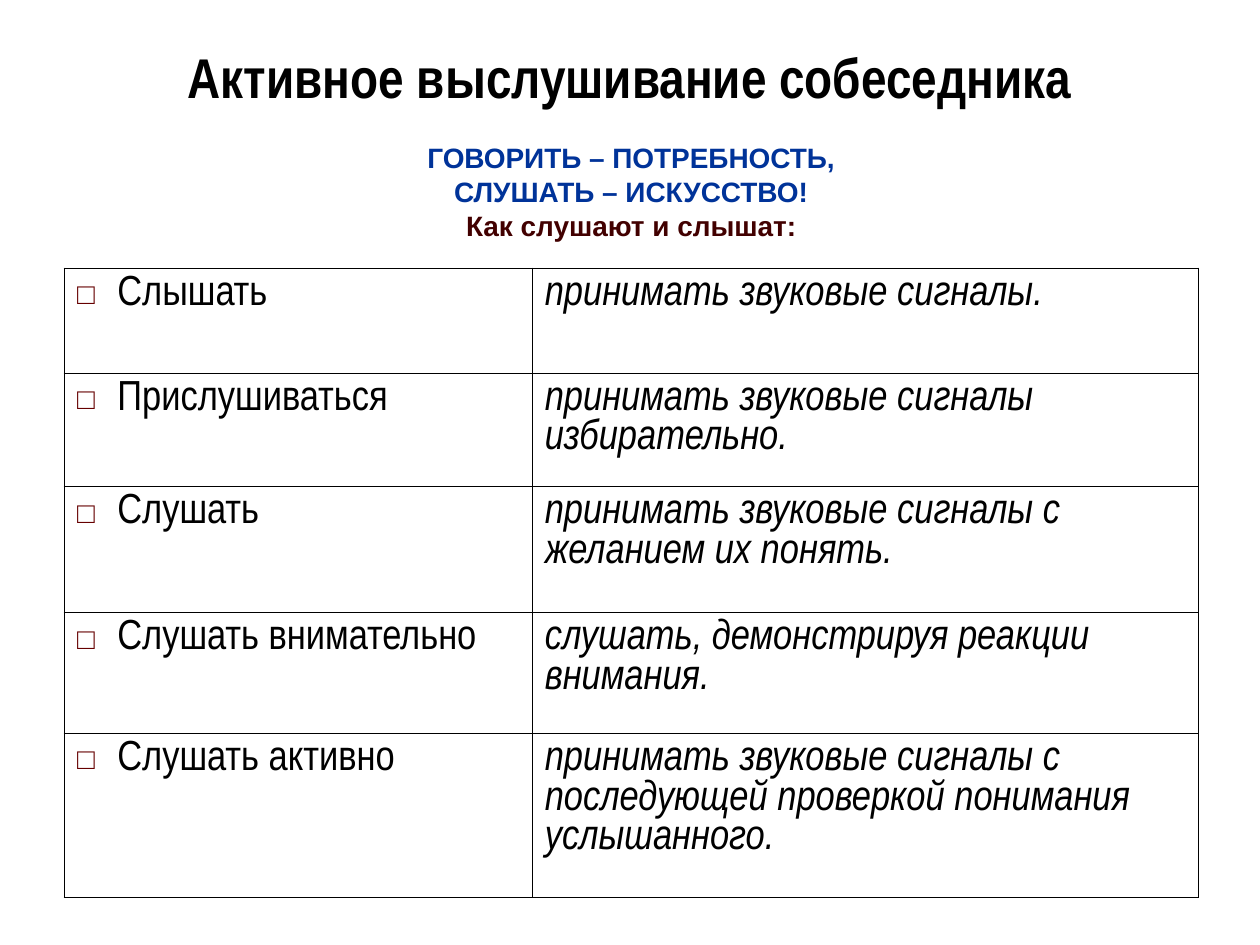
from lxml import etree
from pptx import Presentation
from pptx.dml.color import RGBColor
from pptx.enum import text
from pptx.oxml.ns import qn
from pptx.util import Pt

COLORS = {"black": "000000", "blue": "003399", "brown": "420000", "bullet": "660000"}
COL_WIDTHS = [267.2, 380.8]
ROW_HEIGHTS = [59.8, 65, 72, 69, 93.5]
INNER_LINE, OUTER_LINE = 0.45, 1.08
ROWS = [
    ("Слышать", "принимать звуковые сигналы."),
    ("Прислушиваться", "принимать звуковые сигналы избирательно."),
    ("Слушать", "принимать звуковые сигналы с желанием их понять."),
    ("Слушать внимательно", "слушать, демонстрируя реакции внимания."),
    ("Слушать активно", "принимать звуковые сигналы с последующей проверкой понимания услышанного."),
]


def write(p, content, size=24, font="Arial Narrow", color="black", bold=False,
          italic=False, align=text.PP_ALIGN.LEFT, bullet=False):
    p.text = content
    p.alignment = align
    p.line_spacing = 1.0
    if bullet:
        add_bullet(p)
    for r in p.runs:
        r.font.size = Pt(size)
        r.font.name = font
        r.font.bold = bold
        r.font.italic = italic
        r.font.color.rgb = RGBColor.from_string(COLORS[color])


def add_bullet(p):
    pPr = p._p.get_or_add_pPr()
    pPr.set("marL", str(Pt(23)))
    pPr.set("indent", str(-Pt(23)))
    clr = etree.SubElement(pPr, qn("a:buClr"))
    etree.SubElement(clr, qn("a:srgbClr"), val=COLORS["bullet"])
    etree.SubElement(pPr, qn("a:buSzPct"), val="70000")
    etree.SubElement(pPr, qn("a:buFont"), typeface="Arial")
    etree.SubElement(pPr, qn("a:buChar"), char="□")


def add_box(s, left, top, width, height, anchor=text.MSO_ANCHOR.TOP):
    tf = s.shapes.add_textbox(Pt(left), Pt(top), Pt(width), Pt(height)).text_frame
    tf.word_wrap = True
    tf.vertical_anchor = anchor
    return tf


def set_borders(cell, widths):
    tcPr = cell._tc.get_or_add_tcPr()
    for i, (side, width) in enumerate(widths.items()):
        ln = etree.Element(qn(f"a:ln{side}"), w=str(Pt(width)))
        fill = etree.SubElement(ln, qn("a:solidFill"))
        etree.SubElement(fill, qn("a:srgbClr"), val=COLORS["black"])
        tcPr.insert(i, ln)


def add_listening_table(s):
    n_rows, n_cols = len(ROWS), len(COL_WIDTHS)
    table = s.shapes.add_table(n_rows, n_cols, Pt(36.9), Pt(153.4),
                               Pt(sum(COL_WIDTHS)), Pt(sum(ROW_HEIGHTS))).table
    table.first_row = table.horz_banding = False
    for column, width in zip(table.columns, COL_WIDTHS):
        column.width = Pt(width)
    for i, (row, height) in enumerate(zip(table.rows, ROW_HEIGHTS)):
        row.height = Pt(height)
        for j, cell in enumerate(row.cells):
            cell.fill.background()
            write(cell.text_frame.paragraphs[0], ROWS[i][j],
                  bullet=j == 0, italic=j == 1)
            outer = {"L": j == 0, "R": j == n_cols - 1, "T": i == 0, "B": i == n_rows - 1}
            set_borders(cell, {side: OUTER_LINE if edge else INNER_LINE
                               for side, edge in outer.items()})


def main():
    prs = Presentation()
    prs.slide_width, prs.slide_height = Pt(720), Pt(540)
    s = prs.slides.add_slide(prs.slide_layouts[6])

    title = add_box(s, 36, 20.2, 648, 46.8, text.MSO_ANCHOR.MIDDLE)
    write(title.paragraphs[0], "Активное выслушивание собеседника", size=32,
          bold=True, align=text.PP_ALIGN.CENTER)

    motto = add_box(s, 37.4, 77, 646.6, 64.8)
    style = dict(size=16, font="Arial", bold=True, align=text.PP_ALIGN.CENTER)
    write(motto.paragraphs[0], "ГОВОРИТЬ – ПОТРЕБНОСТЬ,\vСЛУШАТЬ – ИСКУССТВО!",
          color="blue", **style)
    write(motto.add_paragraph(), "Как слушают и слышат:", color="brown", **style)

    add_listening_table(s)
    prs.save("out.pptx")


if __name__ == "__main__":
    main()
